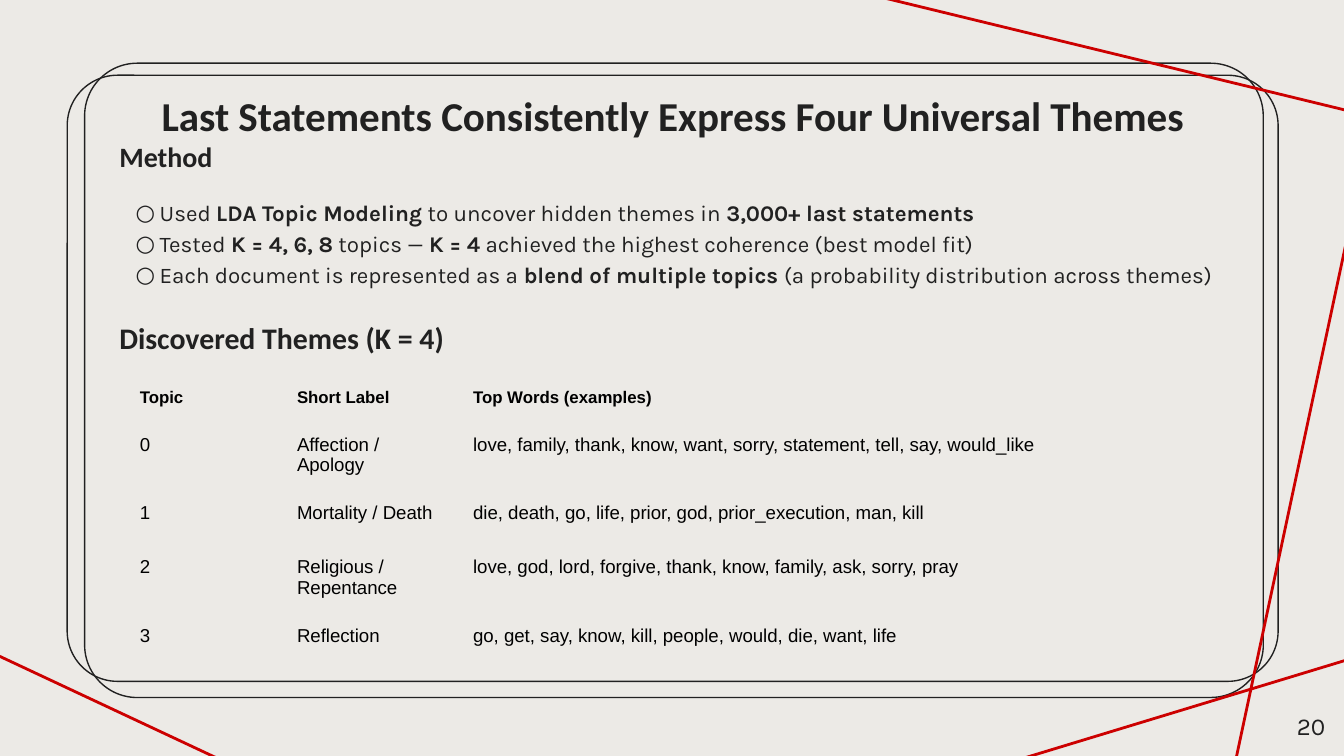
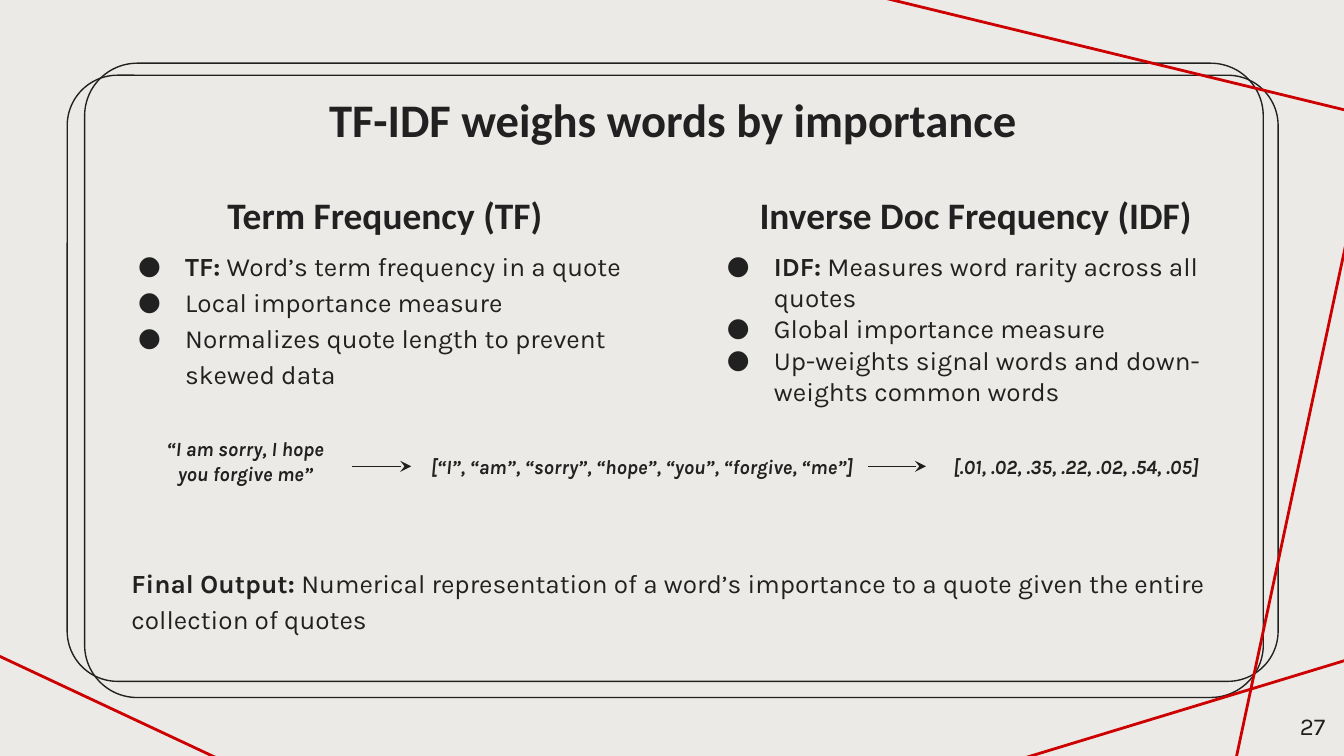
from lxml import etree
from pptx import Presentation
from pptx import util as u
from pptx.dml.color import RGBColor
from pptx.enum import shapes, text
from pptx.oxml import ns

PX = 9144
PAPER = RGBColor(0xEC, 0xEA, 0xE6)
INK = RGBColor(0x21, 0x21, 0x21)
ARROW = RGBColor(0x1F, 0x1F, 0x1F)
RED = RGBColor(0xCC, 0x00, 0x00)
BLACK = RGBColor(0, 0, 0)
HEAD_FONT, BODY_FONT, TABLE_FONT = "Calibri", "Karla", "Arial"
LEFT, CENTER, RIGHT = text.PP_ALIGN.LEFT, text.PP_ALIGN.CENTER, text.PP_ALIGN.RIGHT
TOP, BOTTOM = text.MSO_ANCHOR.TOP, text.MSO_ANCHOR.BOTTOM
NO_STYLE = "{2D5ABB26-0587-4C30-8999-92F81FD0307C}"

FRAMES = [(50, 56, 901, 451), (63, 47, 877, 472)]
RED_LINES = [
    (703, 582, 1032, 482),
    (891, 699, 1006, 160),
    (1100, 106, 619, -11),
    (-33, 473, 253, 607),
]
METHOD = [
    "Used **LDA Topic Modeling** to uncover hidden themes in **3,000+ last statements**",
    "Tested **K = 4, 6, 8** topics — **K = 4** achieved the highest coherence (best model fit)",
    "Each document is represented as a **blend of multiple topics** "
    "(a probability distribution across themes)",
]
THEMES = [
    ("Topic", "Short Label", "Top Words (examples)"),
    ("0", "Affection / Apology",
     "love, family, thank, know, want, sorry, statement, tell, say, would_like"),
    ("1", "Mortality / Death", "die, death, go, life, prior, god, prior_execution, man, kill"),
    ("2", "Religious / Repentance",
     "love, god, lord, forgive, thank, know, family, ask, sorry, pray"),
    ("3", "Reflection", "go, get, say, know, kill, people, would, die, want, life"),
]
TF_POINTS = [
    "**TF:** Word’s term frequency in a quote",
    "Local importance measure",
    "Normalizes quote length to prevent skewed data",
]
IDF_POINTS = [
    "**IDF:** Measures word rarity across all quotes",
    "Global importance measure",
    "Up-weights signal words and down-weights common words",
]


def emu(*lengths):
    """Turn px lengths into EMU."""
    return [u.Emu(length * PX) for length in lengths]


def add_bullet(para, mark, margin, hang):
    """Give a paragraph a hanging bullet in the ink colour."""
    properties = para._p.get_or_add_pPr()
    properties.set("marL", str(margin * PX))
    properties.set("indent", str(-hang * PX))
    color = etree.SubElement(properties, ns.qn("a:buClr"))
    etree.SubElement(color, ns.qn("a:srgbClr"), val=str(INK))
    etree.SubElement(properties, ns.qn("a:buFont"), typeface=BODY_FONT)
    etree.SubElement(properties, ns.qn("a:buChar"), char=mark)


def write(frame, content, size=14, font=BODY_FONT, color=INK, bold=False, italic=False,
          align=LEFT, spacing=1.0, before=0, bullet=None):
    """Add one formatted paragraph; ** pairs mark bold words."""
    para = frame.paragraphs[0]
    if para.runs:
        para = frame.add_paragraph()
    if bullet:
        add_bullet(para, *bullet)
    para.alignment = align
    para.line_spacing = spacing
    para.space_before = u.Pt(before)
    for index, piece in enumerate(content.split("**")):
        if piece:
            span = para.add_run()
            span.text = piece
            span.font.size = u.Pt(size)
            span.font.name = font
            span.font.color.rgb = color
            span.font.bold = bold or index % 2 == 1
            span.font.italic = italic


def set_margins(holder, inset):
    """Set the same inset on all four sides."""
    holder.margin_left = holder.margin_right = u.Emu(inset * PX)
    holder.margin_top = holder.margin_bottom = u.Emu(inset * PX)


def prepare_frame(box, inset, anchor):
    """Make the text of a box wrap inside its insets."""
    frame = box.text_frame
    frame.word_wrap = True
    frame.auto_size = text.MSO_AUTO_SIZE.NONE
    frame.vertical_anchor = anchor
    set_margins(frame, inset)
    return frame


def add_text(page, place, lines, inset=10, anchor=TOP, **style):
    """Add a text box whose paragraphs share one style."""
    box = page.shapes.add_textbox(*emu(*place))
    frame = prepare_frame(box, inset, anchor)
    for line in lines:
        write(frame, line, **style)
    return box


def add_heading(page, place, content):
    """Add a centred column heading."""
    add_text(page, place, [content], anchor=BOTTOM, size=20, font=HEAD_FONT,
             bold=True, align=CENTER)


def add_line(page, ends, color, width, arrow=False):
    """Add a straight line, with an arrowhead at its end if wanted."""
    line = page.shapes.add_connector(shapes.MSO_CONNECTOR.STRAIGHT, *emu(*ends))
    line.line.color.rgb = color
    line.line.width = u.Pt(width)
    if arrow:
        etree.SubElement(line.line._get_or_add_ln(), ns.qn("a:tailEnd"), type="stealth")
    etree.SubElement(line._element.spPr, ns.qn("a:effectLst"))
    return line


def add_page(deck, title, top, size, number):
    """Add a page with the double frame, red lines, title and number."""
    page = deck.slides.add_slide(deck.slide_layouts[5])
    for place in FRAMES:
        panel = page.shapes.add_shape(shapes.MSO_SHAPE.ROUNDED_RECTANGLE, *emu(*place))
        panel.adjustments[0] = 0.083
        panel.shadow.inherit = False
        panel.fill.background()
        panel.line.color.rgb = INK
        panel.line.width = u.Pt(0.75)
    for ends in RED_LINES:
        add_line(page, ends, RED, 1.5)
    heading = page.shapes.title
    heading.left, heading.top, heading.width, heading.height = emu(79, top, 843, 71)
    page.shapes._spTree.append(heading._element)
    write(prepare_frame(heading, 10, BOTTOM), title, size=size, font=HEAD_FONT,
          bold=True, align=CENTER)
    add_text(page, (936, 519, 60, 43), [number], size=13, align=RIGHT)
    return page


def add_table(page, place, rows, widths, heights):
    """Add a plain table with a bold first row."""
    table = page.shapes.add_table(len(rows), len(widths), *emu(*place)).table
    table.first_row = table.horz_banding = False
    table._tbl.tblPr.find(ns.qn("a:tableStyleId")).text = NO_STYLE
    for column, width in zip(table.columns, emu(*widths)):
        column.width = width
    for index, (row, height) in enumerate(zip(table.rows, emu(*heights))):
        row.height = height
        header = index == 0
        for cell, content in zip(row.cells, rows[index]):
            cell.fill.background()
            set_margins(cell, 10)
            write(cell.text_frame, content, size=9 if header else 10, font=TABLE_FONT,
                  color=BLACK, bold=header, spacing=1.15 if header else 1.0)


def build_themes(deck):
    """Build the page on the four themes."""
    page = add_page(deck, "Last Statements Consistently Express Four Universal Themes",
                    43, 22, "20")
    frame = add_text(page, (79, 90, 843, 328), ["Method"], size=15, font=HEAD_FONT,
                     bold=True, spacing=1.15).text_frame
    for index, line in enumerate(METHOD):
        write(frame, line, size=12, spacing=1.15, before=0 if index else 12,
              bullet=("○", 30, 18))
    write(frame, "Discovered Themes (K = 4)", size=16, font=HEAD_FONT, bold=True,
          spacing=1.15, before=14)
    add_table(page, (94, 277, 796, 171), THEMES, (117, 131, 548), (11, 40, 40, 40, 40))


def build_weights(deck):
    """Build the page on TF-IDF."""
    page = add_page(deck, "TF-IDF weighs words by importance", 48, 25, "27")
    add_heading(page, (118, 136, 337, 50), "Term Frequency (TF)")
    add_heading(page, (536, 136, 380, 50), "Inverse Doc Frequency (IDF)")
    dot = ("●", 50, 35)
    add_text(page, (78, 173, 399, 143), TF_POINTS, spacing=1.15, bullet=dot)
    add_text(page, (516, 176, 399, 133), IDF_POINTS, bullet=dot)
    add_text(page, (88, 409, 823, 112),
             ["**Final Output:** Numerical representation of a word’s importance "
              "to a quote given the entire collection of quotes"], spacing=1.15)

    example = dict(inset=11, size=10.8, bold=True, italic=True, align=CENTER)
    add_text(page, (88, 314, 189, 54), ["“I am sorry, I hope", "you forgive me”"], **example)
    add_text(page, (300, 327, 355, 40),
             ["[“I”, “am”, “sorry”, “hope”, “you”, “forgive, “me”]"], **example)
    weights = add_text(page, (689, 327, 223, 40),
                       ["[.01, .02, .35, .22, .02, .54, .05]"], **example)
    add_line(page, (262, 347, 306, 347), ARROW, 0.81, arrow=True)
    to_weights = add_line(page, (646, 347, 689, 347), ARROW, 0.81, arrow=True)
    to_weights.end_connect(weights, 1)


def main():
    """Build and save the deck."""
    deck = Presentation()
    deck.slide_width = u.Inches(10)
    deck.slide_height = u.Emu(deck.slide_width * 9 // 16)
    background = deck.slide_master.background.fill
    background.solid()
    background.fore_color.rgb = PAPER
    build_themes(deck)
    build_weights(deck)
    deck.save("out.pptx")


if __name__ == "__main__":
    main()
